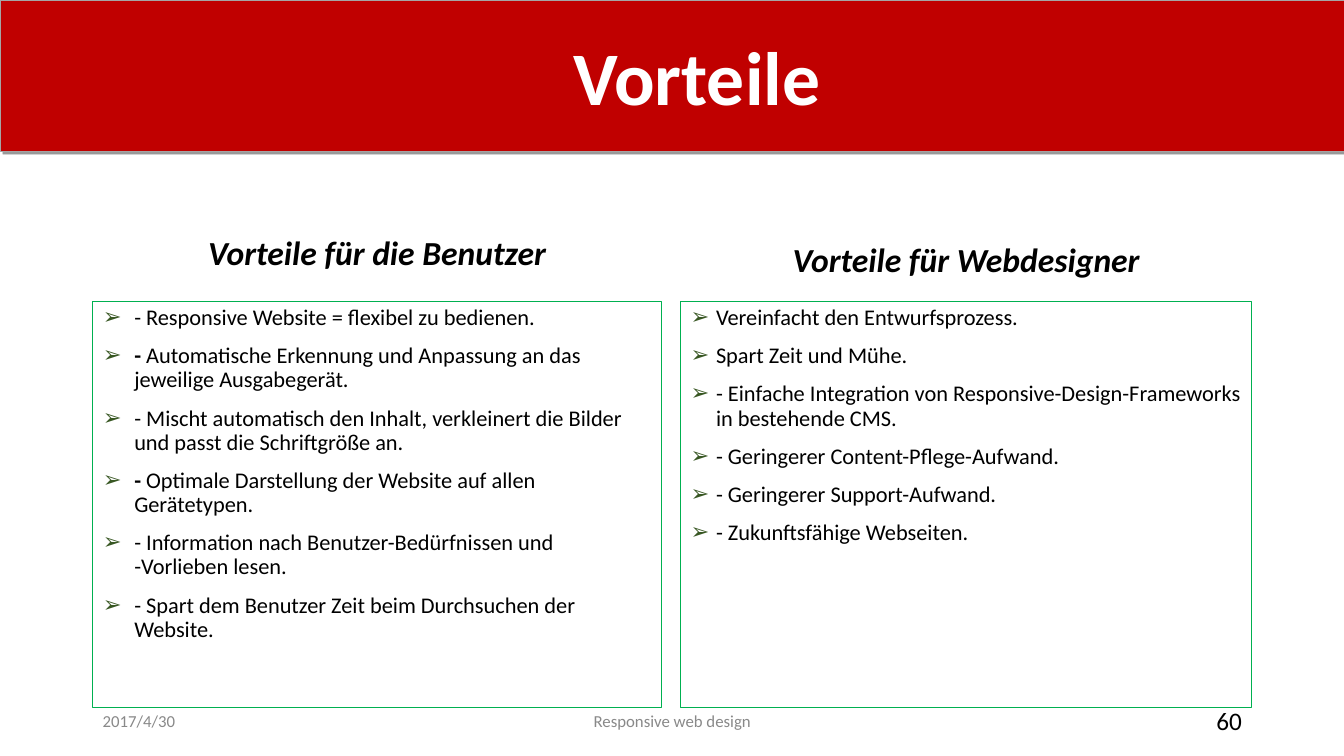
from pptx import Presentation
from pptx.dml.color import RGBColor
from pptx.enum.text import MSO_ANCHOR as Anchor, MSO_AUTO_SIZE as Fit, PP_ALIGN as Align
from pptx.oxml import parse_xml
from pptx.oxml.ns import nsdecls
from pptx.util import Cm, Pt

RED = RGBColor(0xC0, 0x00, 0x00)
GREEN = RGBColor(0x00, 0xB0, 0x50)
MOSS = RGBColor(0x38, 0x57, 0x23)
GRAY = RGBColor(0x89, 0x89, 0x89)
EDGE = RGBColor(0xA5, 0xA5, 0xA5)
BLACK = RGBColor(0x00, 0x00, 0x00)
WHITE = RGBColor(0xFF, 0xFF, 0xFF)

TITLE = "Vorteile"
PANELS = [
    {
        "head": "Vorteile für die Benutzer",
        "left": 2.34, "width": 14.33, "top": 4.67, "space": 0.7, "indent": 0.79,
        "items": [
            ["- Responsive Website = flexibel zu bedienen."],
            ["- ", "Automatische Erkennung und Anpassung an das jeweilige Ausgabegerät."],
            ["- Mischt automatisch den Inhalt, verkleinert die Bilder und passt die Schriftgröße an."],
            ["- ", "Optimale Darstellung der Website auf allen Gerätetypen."],
            ["- Information nach Benutzer-Bedürfnissen und -Vorlieben lesen."],
            ["- Spart dem Benutzer Zeit beim Durchsuchen der Website."],
        ],
    },
    {
        "head": "Vorteile für Webdesigner",
        "left": 17.15, "width": 14.4, "top": 4.88, "space": 0.9, "indent": 0.64,
        "items": [
            ["Vereinfacht den Entwurfsprozess."],
            ["Spart Zeit und Mühe."],
            ["- Einfache Integration von Responsive-Design-Frameworks in bestehende CMS."],
            ["- Geringerer Content-Pflege-Aufwand."],
            ["- Geringerer Support-Aufwand."],
            ["- Zukunftsfähige Webseiten."],
        ],
    },
]
FOOT = [
    ("2017/4/30", 2.34, 7.62, Align.LEFT, 12, GRAY),
    ("Responsive web design", 11.23, 11.43, Align.CENTER, 12, GRAY),
    ("60", 23.93, 7.62, Align.RIGHT, 18, BLACK),
]


def place(shape, left, top, width, height):
    shape.left, shape.top = Cm(left), Cm(top)
    shape.width, shape.height = Cm(width), Cm(height)


def style(run, size, color, bold=False, slant=False):
    font = run.font
    font.name, font.size = "Calibri", Pt(size)
    font.bold, font.italic = bold, slant
    font.color.rgb = color


def frame(shape, anchor):
    text = shape.text_frame
    text.word_wrap = True
    text.auto_size = Fit.NONE
    text.vertical_anchor = anchor
    return text


def line(text, words, align, size, color, bold=False, slant=False):
    text.text = words
    para = text.paragraphs[0]
    para.alignment = align
    para.space_before = Pt(0)
    style(para.runs[0], size, color, bold, slant)
    return para


def bullet(para, indent):
    props = para._p.get_or_add_pPr()
    props.set("marL", str(Cm(indent)))
    props.set("indent", str(-Cm(indent)))
    ns = nsdecls("a")
    props.append(parse_xml(f'<a:buClr {ns}><a:srgbClr val="{MOSS}"/></a:buClr>'))
    props.append(parse_xml(f'<a:buChar {ns} char="➢"/>'))


def banner(shape):
    place(shape, 0, 0, 33.87, 3.81)
    shape.fill.solid()
    shape.fill.fore_color.rgb = RED
    shape.line.color.rgb = EDGE
    shape.line.width = Pt(0.5)
    shape._element.spPr.append(parse_xml(
        f'<a:effectLst {nsdecls("a")}><a:outerShdw dist="{Pt(3)}" dir="2700000">'
        '<a:srgbClr val="000000"><a:alpha val="40000"/></a:srgbClr>'
        '</a:outerShdw></a:effectLst>'))
    text = frame(shape, Anchor.MIDDLE)
    text.margin_left = Cm(1.5)
    line(text, TITLE, Align.CENTER, 54, WHITE, True)


def panel(head, body, data):
    left, width = data["left"], data["width"]
    place(head, left, data["top"], width, 2.29)
    para = line(frame(head, Anchor.BOTTOM), data["head"], Align.CENTER, 24, BLACK, True, True)
    para.line_spacing = data["space"]

    place(body, left, 7.59, width, 10.24)
    body.line.color.rgb = GREEN
    body.line.width = Pt(0.75)
    text = frame(body, Anchor.TOP)
    for i, parts in enumerate(data["items"]):
        para = text.add_paragraph() if i else text.paragraphs[0]
        bullet(para, data["indent"])
        para.line_spacing = 0.9
        para.space_before = Pt(10 if i else 0)
        for part in parts:
            run = para.add_run()
            run.text = part
            style(run, 16, BLACK, part == "- ")


def main():
    deck = Presentation()
    deck.slide_width, deck.slide_height = Cm(33.87), Cm(19.05)
    slide = deck.slides.add_slide(deck.slide_layouts[4])
    holders = slide.placeholders
    banner(slide.shapes.title)
    for i, data in enumerate(PANELS):
        panel(holders[2 * i + 1], holders[2 * i + 2], data)
    for words, left, width, align, size, color in FOOT:
        box = slide.shapes.add_textbox(Cm(left), Cm(17.65), Cm(width), Cm(1.02))
        line(frame(box, Anchor.MIDDLE), words, align, size, color)
    deck.save("out.pptx")


if __name__ == "__main__":
    main()
